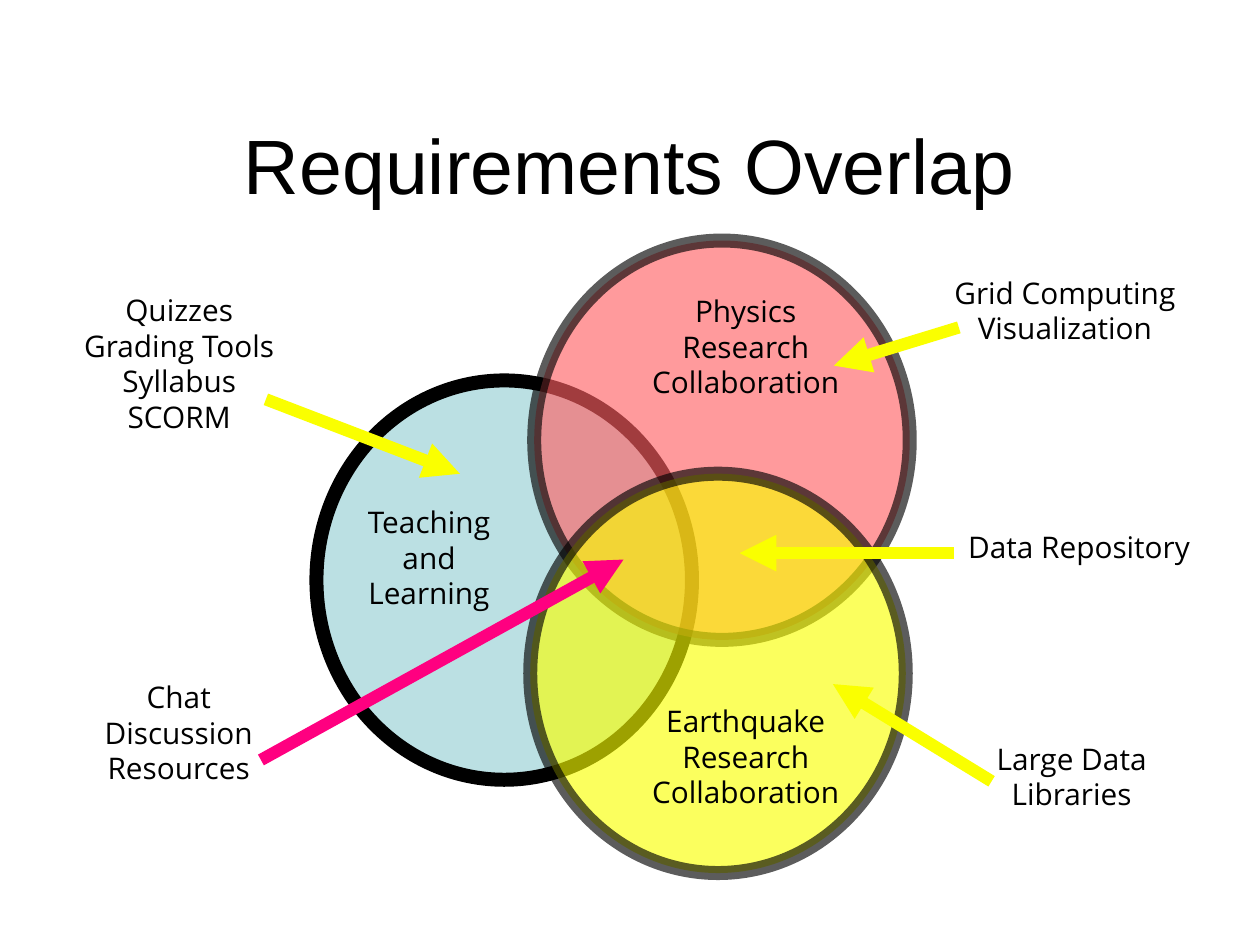
from dataclasses import dataclass

from lxml.etree import SubElement
from pptx import Presentation
from pptx.dml.color import RGBColor
from pptx.enum.shapes import MSO_CONNECTOR, MSO_SHAPE
from pptx.enum.text import MSO_ANCHOR, MSO_AUTO_SIZE, PP_ALIGN
from pptx.oxml.ns import qn
from pptx.slide import Slide
from pptx.text.text import TextFrame
from pptx.util import Cm, Pt


@dataclass(frozen=True)
class Theme:
    ink: str = "000000"
    teal: str = "BBE0E3"
    red: str = "FF6063"
    yellow: str = "FAFF00"
    pink: str = "FF0080"
    head: int = 44
    body: int = 17
    ring: int = 8
    shaft: int = 7
    sans: str = "Arial"
    text: str = "Open Sans"


@dataclass(frozen=True)
class Circle:
    left: float
    top: float
    fill: str
    alpha: int = 100


@dataclass(frozen=True)
class Label:
    left: float
    top: float
    width: float
    lines: tuple[str, ...]


@dataclass(frozen=True)
class Arrow:
    start: tuple[float, float]
    end: tuple[float, float]
    color: str


THEME = Theme()
WIDE, TALL = 7.57, 8.05
LINE = 0.71

CIRCLES = [
    Circle(6.38, 7.67, THEME.teal),
    Circle(10.77, 4.85, THEME.red, 63),
    Circle(10.69, 9.55, THEME.yellow, 63),
]
LABELS = [
    Label(13, 5.94, 3.94, ("Physics", "Research", "Collaboration")),
    Label(13, 14.2, 3.94, ("Earthquake", "Research", "Collaboration")),
    Label(7.24, 10.19, 2.69, ("Teaching", "and", "Learning")),
    Label(19.08, 5.56, 4.65, ("Grid Computing", "Visualization")),
    Label(19.38, 10.69, 4.62, ("Data Repository",)),
    Label(19.94, 14.96, 3.2, ("Large Data", "Libraries")),
    Label(1.52, 5.92, 4.06, ("Quizzes", "Grading Tools", "Syllabus", "SCORM")),
    Label(1.98, 13.72, 3.12, ("Chat", "Discussion", "Resources")),
]
ARROWS = [
    Arrow((5.36, 8.05), (9.27, 9.55), THEME.yellow),
    Arrow((5.26, 15.32), (12.57, 11.28), THEME.pink),
    Arrow((19.23, 11.15), (14.91, 11.15), THEME.yellow),
    Arrow((19.99, 15.75), (16.79, 13.79), THEME.yellow),
    Arrow((19.33, 6.6), (16.81, 7.37), THEME.yellow),
]


def write(frame: TextFrame, lines: tuple[str, ...], *, size: int, font: str,
          left: float = 0, right: float = 0, indent: float = 0,
          space: float = 1, wrap: bool = False,
          fit: MSO_AUTO_SIZE = MSO_AUTO_SIZE.SHAPE_TO_FIT_TEXT,
          anchor: MSO_ANCHOR = MSO_ANCHOR.TOP) -> None:
    frame.margin_left, frame.margin_right = Cm(left), Cm(right)
    frame.margin_top = frame.margin_bottom = 0
    frame.word_wrap = wrap
    frame.auto_size = fit
    frame.vertical_anchor = anchor
    for spot, line in enumerate(lines):
        para = frame.add_paragraph() if spot else frame.paragraphs[0]
        para.alignment = PP_ALIGN.CENTER
        para.line_spacing = space
        if indent:
            para._p.get_or_add_pPr().set("marL", str(Cm(indent)))
        run = para.add_run()
        run.text = line
        run.font.size = Pt(size)
        run.font.name = font
        run.font.color.rgb = RGBColor.from_string(THEME.ink)


def draw_circle(slide: Slide, item: Circle) -> None:
    shape = slide.shapes.add_shape(MSO_SHAPE.OVAL, Cm(item.left), Cm(item.top),
                                   Cm(WIDE), Cm(TALL))
    shape.shadow.inherit = False
    shape.fill.solid()
    shape.fill.fore_color.rgb = RGBColor.from_string(item.fill)
    shape.line.color.rgb = RGBColor.from_string(THEME.ink)
    shape.line.width = Pt(THEME.ring)
    if item.alpha < 100:
        for color in shape._element.spPr.iter(qn("a:srgbClr")):
            SubElement(color, qn("a:alpha"), val=str(item.alpha * 1000))


def draw_label(slide: Slide, item: Label) -> None:
    box = slide.shapes.add_textbox(Cm(item.left), Cm(item.top), Cm(item.width),
                                   Cm(LINE * len(item.lines)))
    write(box.text_frame, item.lines, size=THEME.body, font=THEME.text,
          indent=0.13, space=0.99)


def draw_arrow(slide: Slide, item: Arrow) -> None:
    ends = [Cm(value) for value in item.start + item.end]
    line = slide.shapes.add_connector(MSO_CONNECTOR.STRAIGHT, *ends)
    line.line.color.rgb = RGBColor.from_string(item.color)
    line.line.width = Pt(THEME.shaft)
    SubElement(line.line._get_or_add_ln(), qn("a:tailEnd"), type="triangle")
    SubElement(line._element.spPr, qn("a:effectLst"))


def main() -> None:
    deck = Presentation()
    deck.slide_width, deck.slide_height = Cm(25.4), Cm(19.05)
    slide = deck.slides.add_slide(deck.slide_layouts[5])
    title = slide.shapes.title
    title.left, title.top = Cm(1.9), Cm(1.7)
    title.width, title.height = Cm(21.6), Cm(3.18)
    write(title.text_frame, ("Requirements Overlap",), size=THEME.head,
          font=THEME.sans, left=0.18, right=0.2, wrap=True,
          fit=MSO_AUTO_SIZE.NONE, anchor=MSO_ANCHOR.MIDDLE)
    for circle in CIRCLES:
        draw_circle(slide, circle)
    for label in LABELS:
        draw_label(slide, label)
    for arrow in ARROWS:
        draw_arrow(slide, arrow)
    deck.save("out.pptx")


if __name__ == "__main__":
    main()
